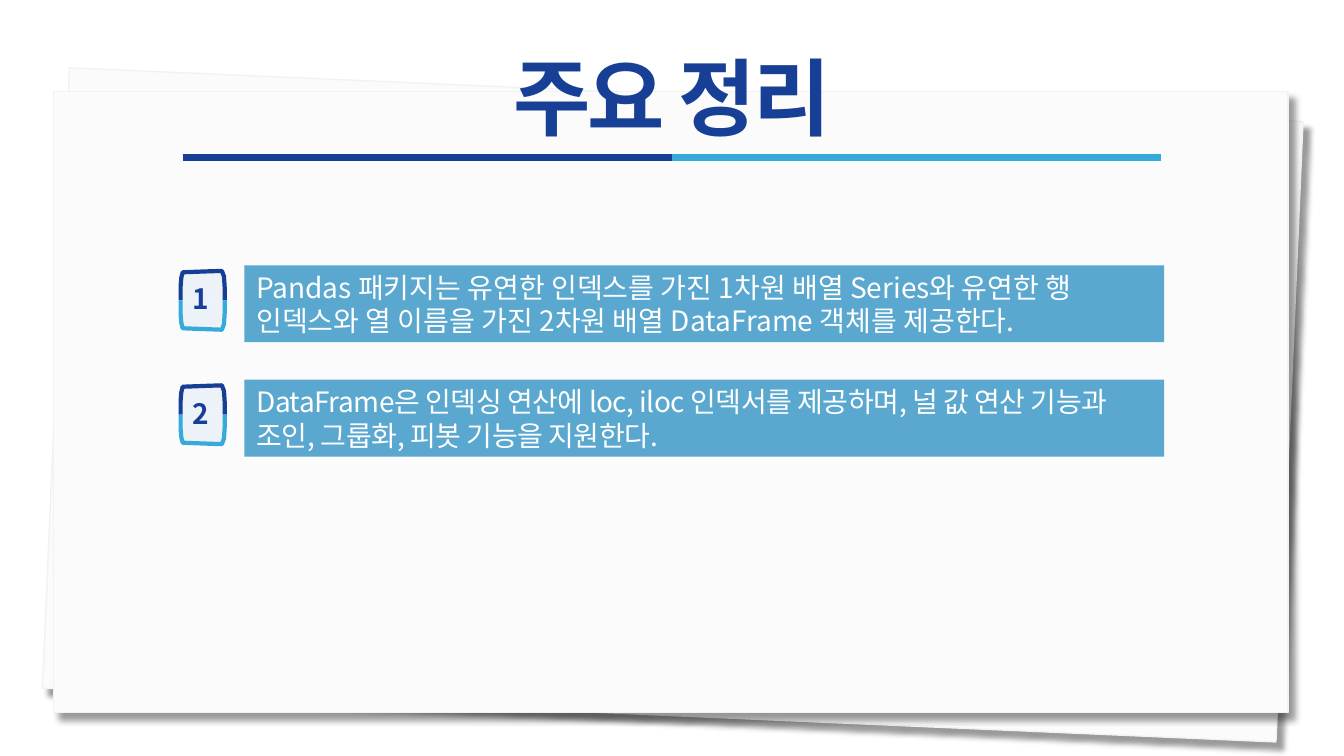
from lxml import etree
from pptx import Presentation
from pptx import util as u
from pptx.dml.color import RGBColor
from pptx.enum import shapes, text
from pptx.oxml import parse_xml
from pptx.oxml.ns import nsdecls, qn

Pt = u.Pt
THEME = {
    "font": "Noto Sans CJK KR",
    "navy": RGBColor.from_string("163E94"),
    "title": RGBColor.from_string("173F95"),
    "sky": RGBColor.from_string("36AAD9"),
    "bar": RGBColor.from_string("5AA8CF"),
    "pale": RGBColor.from_string("DEEBF7"),
    "paper": RGBColor.from_string("FBFBFB"),
    "edge": RGBColor.from_string("F2F2F2"),
    "white": RGBColor.from_string("FFFFFF"),
    "title_size": Pt(60),
    "body_size": Pt(20),
}


def write(box, words, align, color, size, bold, spacing, line_spacing):
    frame = box.text_frame
    frame.word_wrap = True
    frame.vertical_anchor = text.MSO_ANCHOR.MIDDLE
    para = frame.paragraphs[0]
    para.alignment = align
    para.line_spacing = line_spacing
    span = para.add_run()
    span.text = words
    for name, value in {"name": THEME["font"], "size": size, "bold": bold}.items():
        setattr(span.font, name, value)
    span.font.color.rgb = color
    props = span.font._element
    props.set("spc", str(round(spacing * 100)))
    east = etree.SubElement(props, qn("a:ea"))
    east.set("typeface", THEME["font"])
    return para


def paint(shape, fill=None, line=None, width=0):
    shape.shadow.inherit = False
    for part, color in ((shape.fill, fill), (shape.line.fill, line)):
        if color is None:
            part.background()
        else:
            part.solid()
            part.fore_color.rgb = color
    if line is not None:
        shape.line.width = Pt(width)


deck = Presentation()
deck.slide_width, deck.slide_height = Pt(960), Pt(540)
page = deck.slides.add_slide(deck.slide_layouts[5])
canvas = page.shapes

for left, top, turn in ((39.5, 67.5, 2.5), (38, 65.5, 0)):
    sheet = canvas.add_shape(shapes.MSO_SHAPE.RECTANGLE, Pt(left), Pt(top), Pt(882), Pt(443.5))
    sheet.rotation = turn
    paint(sheet, THEME["paper"], THEME["edge"], 1)
    sheet._element.spPr.find(qn("a:effectLst")).append(parse_xml(
        f'<a:outerShdw {nsdecls("a")} blurRad="{Pt(4)}" dist="{Pt(7)}" dir="2700000" algn="tl" rotWithShape="0">'
        '<a:srgbClr val="000000"><a:alpha val="40000"/></a:srgbClr></a:outerShdw>'))

for start, color in ((130.5, "navy"), (480, "sky")):
    rule = canvas.add_connector(shapes.MSO_CONNECTOR.STRAIGHT, Pt(start), Pt(112.5), Pt(start + 349.5), Pt(112.5))
    rule.line.color.rgb = THEME[color]
    rule.line.width = Pt(4.5)
    etree.SubElement(rule._element.spPr, qn("a:effectLst"))

title = canvas.title
canvas._spTree.append(title._element)
for name, value in {"left": 0, "top": 40.5, "width": 960, "height": 65}.items():
    setattr(title, name, Pt(value))
write(title, "주요 정리", text.PP_ALIGN.CENTER, THEME["title"], THEME["title_size"], True, -1.9, 0.9)
title.text_frame.paragraphs[0].runs[0].font._element.insert(0, parse_xml(
    f'<a:ln {nsdecls("a")} w="{Pt(2)}"><a:solidFill><a:srgbClr val="FFFFFF"/></a:solidFill></a:ln>'))

POINTS = (
    ("Pandas 패키지는 유연한 인덱스를 가진 1차원 배열 Series와 유연한 행 인덱스와 열 이름을 가진 2차원 배열 DataFrame 객체를 제공한다.", 0),
    ("DataFrame은 인덱싱 연산에 loc, iloc 인덱서를 제공하며, 널 값 연산 기능과 조인, 그룹화, 피봇 기능을 지원한다.", -0.4),
)
BADGE_EDGE = ((129, 0), (129, 10), (129.5, 16), (130.5, 20), (144, 20.5), (158.5, 21), (160, 17), (160.5, 9), (160.5, 0))

for index, (sentence, spacing) in enumerate(POINTS):
    top = 189.5 + 81.75 * index
    bar = canvas.add_shape(shapes.MSO_SHAPE.RECTANGLE, Pt(174.5), Pt(top), Pt(657), Pt(55))
    paint(bar, THEME["bar"])
    para = write(bar, sentence, text.PP_ALIGN.LEFT, THEME["white"], THEME["body_size"], False, spacing, None)
    para._p.get_or_add_pPr().set("marL", str(Pt(1.5)))

    middle = top + 25
    for side, color in ((-1, "navy"), (1, "sky")):
        outline = [(Pt(x), Pt(middle + side * y)) for x, y in BADGE_EDGE]
        for closed in (True, False):
            builder = canvas.build_freeform(*outline[0])
            builder.add_line_segments(outline[1:], close=closed)
            half = builder.convert_to_shape()
            if closed:
                paint(half, THEME["pale"])
                tint = half.fill._xPr.find(qn("a:solidFill"))[0]
                etree.SubElement(tint, qn("a:alpha")).set("val", "50000")
            else:
                paint(half, None, THEME[color], 3)

    number = canvas.add_textbox(Pt(128), Pt(top + 8), Pt(31), Pt(31.5))
    write(number, str(index + 1), text.PP_ALIGN.CENTER, THEME["title"], THEME["body_size"], True, -3, None)

deck.save("out.pptx")
